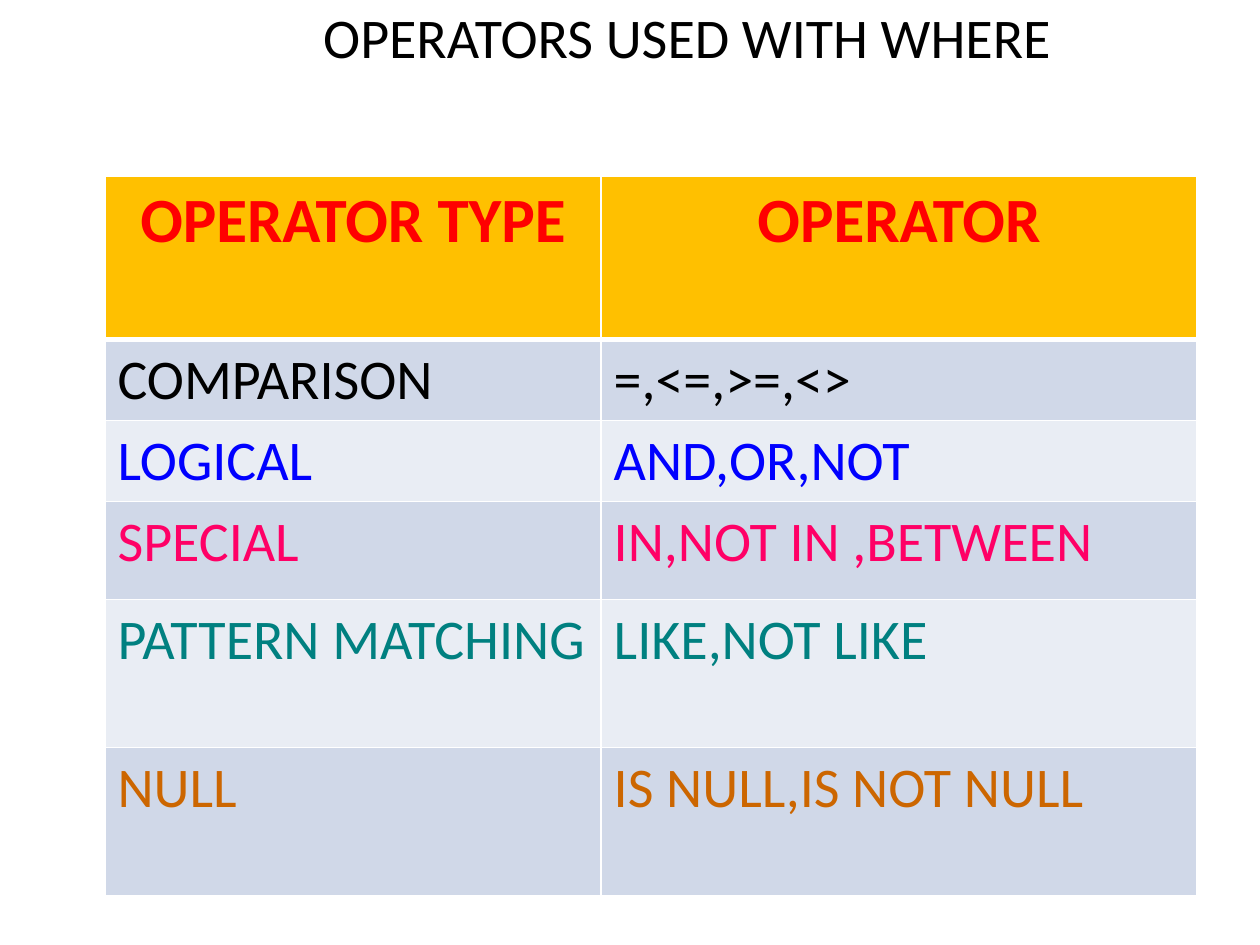
from lxml.etree import SubElement
from pptx import Presentation
from pptx.dml.color import RGBColor
from pptx.enum.text import MSO_ANCHOR, MSO_AUTO_SIZE, PP_ALIGN
from pptx.oxml.ns import qn
from pptx.util import Pt

COLORS = {
    "white": "FFFFFF", "black": "000000", "red": "FF0000", "gold": "FFC000",
    "blue": "0000FF", "pink": "FF0066", "teal": "008080", "orange": "CC6600",
    "dark_band": "D0D8E8", "light_band": "E9EDF4",
}
HEADINGS = ("OPERATOR TYPE", "OPERATOR")
OPERATORS = [
    ("COMPARISON", "=,<=,>=,<>", "black", 46.3),
    ("LOGICAL", "AND,OR,NOT", "blue", 46.3),
    ("SPECIAL", "IN,NOT IN ,BETWEEN", "pink", 56),
    ("PATTERN MATCHING", "LIKE,NOT LIKE", "teal", 84.5),
    ("NULL", "IS NULL,IS NOT NULL", "orange", 84.5),
]
HEADER_HEIGHT = 93.5
COLUMN_WIDTHS = (283.5, 340.5)


def paint(fill, color):
    """Give a fill one solid colour."""
    fill.solid()
    fill.fore_color.rgb = RGBColor.from_string(COLORS[color])


def write_text(text_frame, text, size, color, bold=False, alignment=PP_ALIGN.LEFT):
    """Set a text frame to one formatted paragraph."""
    text_frame.text = text
    paragraph = text_frame.paragraphs[0]
    paragraph.alignment = alignment
    for run in paragraph.runs:
        run.font.name = "Calibri"
        run.font.size = Pt(size)
        run.font.bold = bold
        run.font.color.rgb = RGBColor.from_string(COLORS[color])


def add_title(slide):
    """Place the slide title at the top of its white box."""
    shape = slide.shapes.title
    shape.left, shape.top, shape.width, shape.height = Pt(65.5), Pt(-2), Pt(654.5), Pt(74)
    paint(shape.fill, "white")
    text_frame = shape.text_frame
    text_frame.word_wrap = True
    text_frame.auto_size = MSO_AUTO_SIZE.NONE
    text_frame.vertical_anchor = MSO_ANCHOR.TOP
    write_text(text_frame, "OPERATORS USED WITH WHERE", 32, "black", alignment=PP_ALIGN.CENTER)


def add_header_borders(cell):
    """Draw white cell borders with a heavier bottom edge."""
    properties = cell._tc.get_or_add_tcPr()
    for side, width in (("L", 1), ("R", 1), ("T", 1), ("B", 3)):
        line = SubElement(properties, qn(f"a:ln{side}"), w=str(Pt(width)))
        solid_fill = SubElement(line, qn("a:solidFill"))
        SubElement(solid_fill, qn("a:srgbClr"), val=COLORS["white"])


def add_operator_table(slide):
    """Add the table of operator types and their operators."""
    heights = [HEADER_HEIGHT] + [row[3] for row in OPERATORS]
    shape = slide.shapes.add_table(
        len(heights), len(COLUMN_WIDTHS), Pt(60), Pt(100.5),
        Pt(sum(COLUMN_WIDTHS)), Pt(sum(heights)))
    table = shape.table
    for column, width in zip(table.columns, COLUMN_WIDTHS):
        column.width = Pt(width)
    for row, height in zip(table.rows, heights):
        row.height = Pt(height)
    for column_index, heading in enumerate(HEADINGS):
        cell = table.cell(0, column_index)
        add_header_borders(cell)
        paint(cell.fill, "gold")
        write_text(cell.text_frame, heading, 36, "red", True, PP_ALIGN.CENTER)
    for row_index, (kind, operators, color, _) in enumerate(OPERATORS, start=1):
        for column_index, text in enumerate((kind, operators)):
            cell = table.cell(row_index, column_index)
            paint(cell.fill, "dark_band" if row_index % 2 else "light_band")
            write_text(cell.text_frame, text, 32, color)


def main():
    """Build and save the slide."""
    presentation = Presentation()
    presentation.slide_width, presentation.slide_height = Pt(720), Pt(540)
    slide = presentation.slides.add_slide(presentation.slide_layouts[5])
    paint(slide.background.fill, "white")
    add_title(slide)
    add_operator_table(slide)
    presentation.save("out.pptx")


if __name__ == "__main__":
    main()
